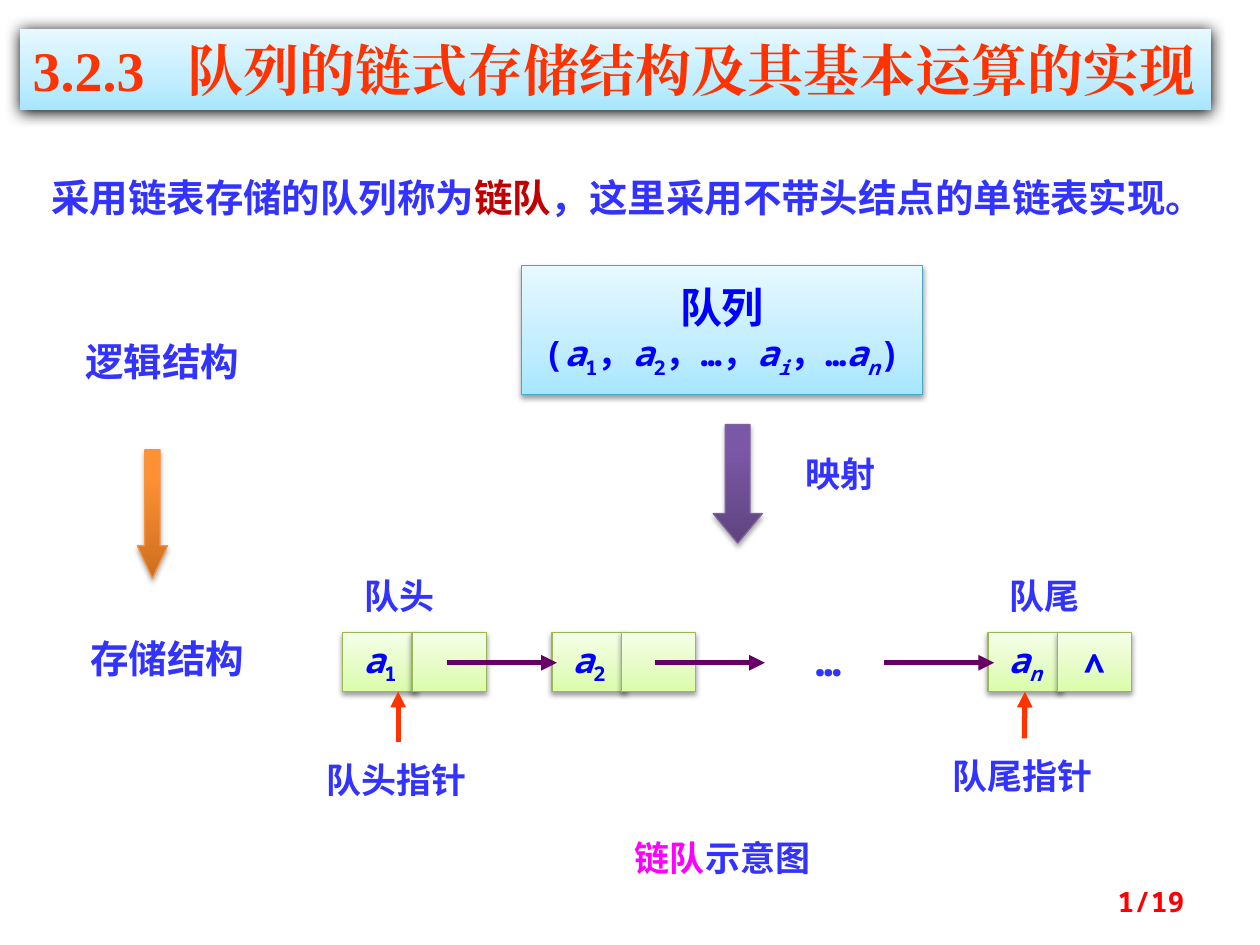
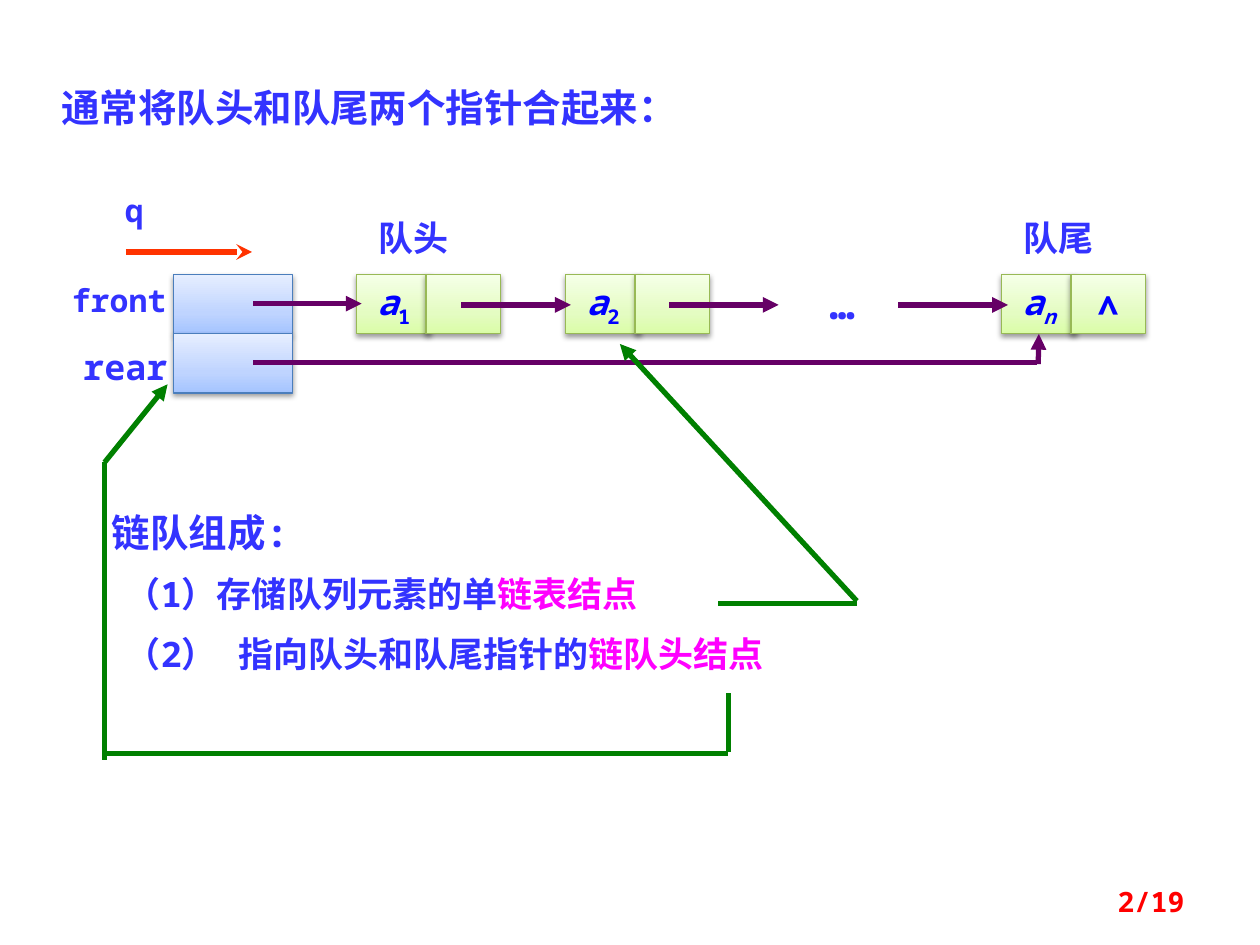
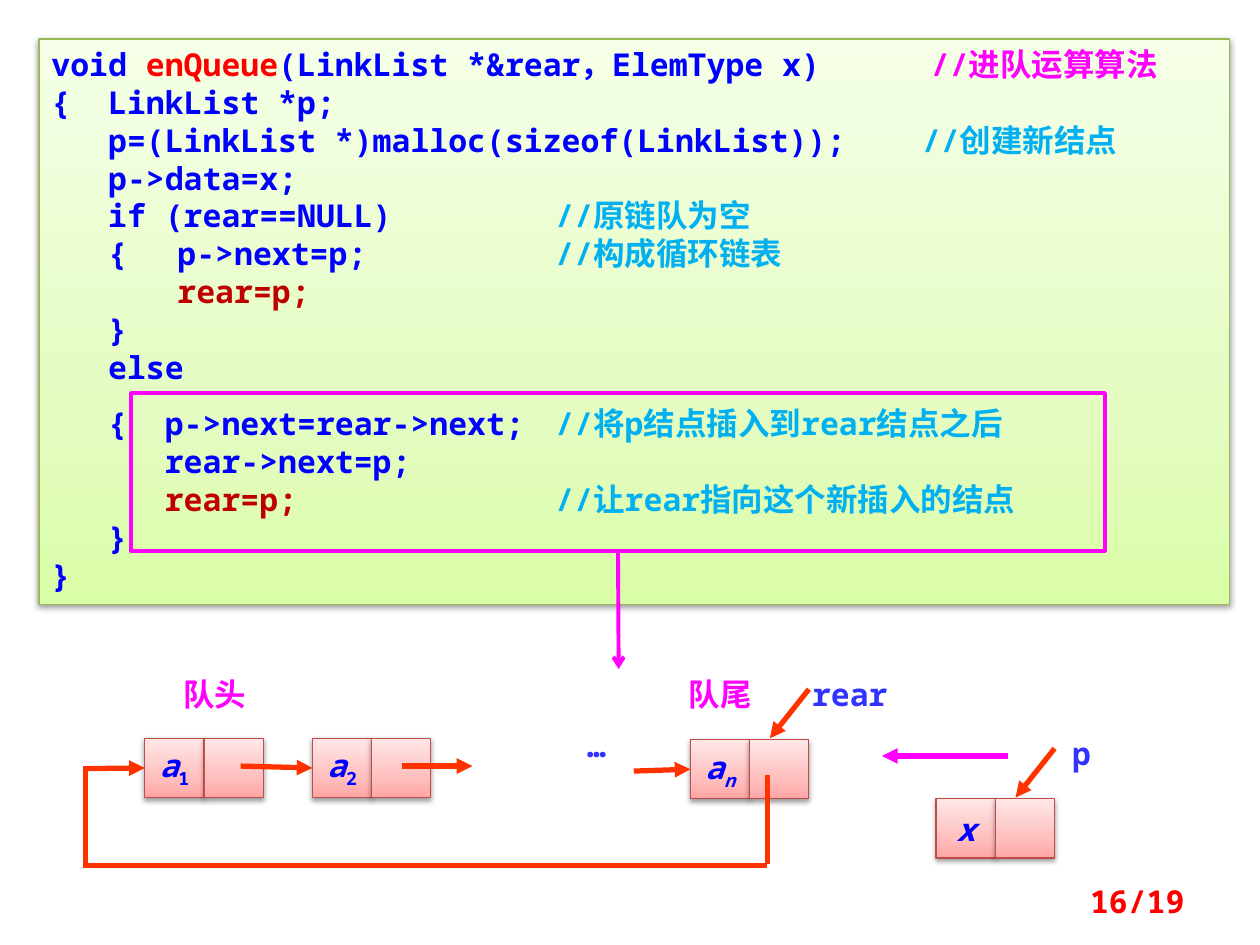
from math import cos, pi, sin

from lxml.etree import SubElement
from pptx import Presentation
from pptx.dml.color import RGBColor
from pptx.enum.shapes import MSO_CONNECTOR, MSO_SHAPE
from pptx.enum.text import MSO_ANCHOR, MSO_AUTO_SIZE, PP_ALIGN
from pptx.oxml.ns import qn
from pptx.util import Inches, Pt

# Shared colours and fonts
BLUE = RGBColor(0x33, 0x33, 0xFF)
CODE_BLUE = RGBColor(0x00, 0x00, 0xFF)
RED = RGBColor(0xFF, 0x00, 0x00)
DARK_RED = RGBColor(0xC0, 0x00, 0x00)
ORANGE = RGBColor(0xFF, 0x33, 0x00)
MAGENTA = RGBColor(0xFF, 0x00, 0xFF)
PURPLE = RGBColor(0x66, 0x00, 0x66)
GREEN = RGBColor(0x00, 0x80, 0x00)
SKY = RGBColor(0x00, 0xB0, 0xF0)
MONO, SERIF = "Noto Sans Mono", "Times New Roman"
LEFT, CENTER, RIGHT = PP_ALIGN.LEFT, PP_ALIGN.CENTER, PP_ALIGN.RIGHT

# Shape looks: gradient stops from bottom to top, outline colour
CYAN_LOOK = ([(0, "A7E6FF"), (35, "C1EDFF"), (100, "E7F8FF")], RGBColor(0x46, 0xAA, 0xC5))
TITLE_LOOK = (CYAN_LOOK[0], None)
LIME_LOOK = ([(0, "DAFDA7"), (35, "E4FCC2"), (100, "F5FFE7")], RGBColor(0x98, 0xB9, 0x55))
BLUE_LOOK = ([(0, "A4C4FF"), (35, "BFD4FF"), (100, "E6EEFF")], RGBColor(0x4B, 0x7E, 0xBC))
PINK_LOOK = ([(0, "FFA6A5"), (35, "FFC0BF"), (100, "FFE7E7")], RGBColor(0xBF, 0x4C, 0x48))
VIOLET_LOOK = ([(0, "5F4480"), (80, "7B58A6"), (100, "7C57A8")], RGBColor(0x7D, 0x60, 0xA0))
AMBER_LOOK = ([(0, "CC6E20"), (80, "FF9034"), (100, "FF9136")], RGBColor(0xF6, 0x92, 0x40))

# Run formats
ITALIC = {"italic": True}
SUB = {"sub": True}
SUB_ITALIC = {"sub": True, "italic": True}
A1 = [("a", ITALIC), ("1", SUB)]
A2 = [("a", ITALIC), ("2", SUB)]
AI = [("a", ITALIC), ("i", SUB_ITALIC)]
AN = [("a", ITALIC), ("n", SUB_ITALIC)]


def paint(color):
    return {"color": color}


# Text
def add_runs(p, runs, size, color, font=MONO):
    if isinstance(runs, str):
        runs = [(runs, {})]
    for text, own in runs:
        fmt = {"name": font, "size": Pt(size), "bold": True, **own}
        sub = fmt.pop("sub", False)
        run_color = fmt.pop("color", color)
        r = p.add_run()
        r.text = text
        for key, value in fmt.items():
            setattr(r.font, key, value)
        r.font.color.rgb = run_color
        rPr = r.font._element
        SubElement(rPr, qn("a:ea")).set("typeface", font)
        if sub:
            rPr.set("baseline", "-25000")


def set_tabs(p, stops):
    tabs = SubElement(p._p.get_or_add_pPr(), qn("a:tabLst"))
    for stop in stops:
        tab = SubElement(tabs, qn("a:tab"))
        tab.set("pos", str(Inches(stop)))
        tab.set("algn", "l")


def add_text(s, x, y, w, h, runs, size=20, color=BLUE, align=CENTER):
    sp = s.shapes.add_textbox(Inches(x), Inches(y), Inches(w), Inches(h))
    tf = sp.text_frame
    tf.word_wrap = True
    tf.auto_size = MSO_AUTO_SIZE.SHAPE_TO_FIT_TEXT
    p = tf.paragraphs[0]
    p.alignment = align
    add_runs(p, runs, size, color)
    return tf


def add_page_number(s, text, size=16):
    tf = add_text(s, 7.17, 6.95, 2.33, 0.4, text, size, RED, RIGHT)
    tf.auto_size = MSO_AUTO_SIZE.NONE
    tf.vertical_anchor = MSO_ANCHOR.MIDDLE


# Shapes
def add_block(s, x, y, w, h, look, kind=MSO_SHAPE.RECTANGLE, shadow=(38, 3.1, 1.6)):
    stops, outline = look
    sp = s.shapes.add_shape(kind, Inches(x), Inches(y), Inches(w), Inches(h))
    sp.fill.background()
    spPr = sp._element.spPr
    no_fill = spPr.find(qn("a:noFill"))
    grad = SubElement(spPr, qn("a:gradFill"))
    spPr.replace(no_fill, grad)
    gs_list = SubElement(grad, qn("a:gsLst"))
    for pos, value in stops:
        gs = SubElement(gs_list, qn("a:gs"))
        gs.set("pos", str(pos * 1000))
        SubElement(gs, qn("a:srgbClr")).set("val", value)
    SubElement(grad, qn("a:lin")).set("ang", "16200000")
    if outline is None:
        sp.line.fill.background()
    else:
        sp.line.color.rgb = outline
        sp.line.width = Pt(0.75)
    # Soft shadow straight below
    sp.shadow.inherit = False
    alpha, blur, dist = shadow
    outer = SubElement(spPr.find(qn("a:effectLst")), qn("a:outerShdw"))
    for key, value in {"blurRad": Pt(blur), "dist": Pt(dist), "dir": 5400000, "rotWithShape": 0}.items():
        outer.set(key, str(value))
    clr = SubElement(outer, qn("a:srgbClr"))
    clr.set("val", "000000")
    SubElement(clr, qn("a:alpha")).set("val", str(alpha * 1000))
    return sp


def add_cell(s, x, y, w, h, look, lines=(), sizes=(20,)):
    sp = add_block(s, x, y, w, h, look)
    tf = sp.text_frame
    tf.word_wrap = False
    tf.vertical_anchor = MSO_ANCHOR.MIDDLE
    for i, (runs, size) in enumerate(zip(lines, sizes)):
        p = tf.add_paragraph() if i else tf.paragraphs[0]
        p.alignment = CENTER
        add_runs(p, runs, size, CODE_BLUE)
    return sp


def add_down_arrow(s, x, y, w, h, look, head):
    sp = add_block(s, x, y, w, h, look, MSO_SHAPE.DOWN_ARROW, (35, 3.1, 1.8))
    sp.adjustments[0] = 0.5
    sp.adjustments[1] = head


def add_title(s, number, text):
    sp = add_block(s, 0.16, 0.23, 9.45, 0.64, TITLE_LOOK, shadow=(100, 8.5, 1))
    tf = sp.text_frame
    tf.word_wrap = True
    tf.margin_right = 0
    tf.vertical_anchor = MSO_ANCHOR.TOP
    p = tf.paragraphs[0]
    p.alignment = LEFT
    set_tabs(p, [1.23])
    add_runs(p, number + "\t" + text, 32, ORANGE, SERIF)


# Lines
def style_line(line, color, width, head):
    line.color.rgb = color
    line.width = Pt(width)
    if head:
        SubElement(line._get_or_add_ln(), qn("a:tailEnd")).set("type", head)


def add_line(s, x1, y1, x2, y2, color, head=None, width=3, begin=None, end=None):
    cx = s.shapes.add_connector(MSO_CONNECTOR.STRAIGHT, *map(Inches, (x1, y1, x2, y2)))
    style_line(cx.line, color, width, head)
    SubElement(cx._element.spPr, qn("a:effectLst"))
    if begin:
        cx.begin_connect(*begin)
    if end:
        cx.end_connect(*end)


def add_arrow(s, x1, y1, x2, y2, color, **kw):
    add_line(s, x1, y1, x2, y2, color, "triangle", **kw)


def add_curve(s, points, color, head):
    builder = s.shapes.build_freeform(*points[0], scale=Inches(1))
    builder.add_line_segments(points[1:], close=False)
    sp = builder.convert_to_shape()
    sp.fill.background()
    sp.shadow.inherit = False
    style_line(sp.line, color, 3, head)


# Linked list parts
def add_node(s, x, y, data, link=(), w=0.59, step=0.55, look=LIME_LOOK, size=20):
    """Draw a data cell and a link cell; return the data cell."""
    cell = add_cell(s, x, y, w, 0.47, look, [data], [size])
    add_cell(s, x + step, y, w, 0.47, look, link, [size])
    return cell


def add_queue(s, x, y):
    """Draw the chain a1, a2 ... an with its labels; return the last data cell."""
    second, last = x + 1.66, x + 5.12
    add_node(s, x, y, A1)
    add_node(s, second, y, A2)
    tail = add_node(s, last, y, AN, ["∧"])
    for start in (x + 0.83, second + 0.82, last - 0.82):
        add_arrow(s, start, y + 0.24, start + 0.87, y + 0.24, PURPLE)
    add_text(s, x + 3.38, y - 0.03, 0.95, 0.5, "…", 24)
    for label, left in (("队头", x), ("队尾", last)):
        add_text(s, left - 0.1, y - 0.51, 1.1, 0.44, label)
    return tail


def build_storage(s):
    add_title(s, "3.2.3", "队列的链式存储结构及其基本运算的实现")
    add_text(s, 0.31, 1.33, 9.3, 0.47, [
        ("采用链表存储的队列称为", {}), ("链队", paint(DARK_RED)),
        ("，这里采用不带头结点的单链表实现。", {})], 22, align=LEFT)
    # Logical structure mapped to storage structure
    sequence = [("(", {}), *A1, ("，", {}), *A2, ("，…，", {}), *AI, ("，…", {}), *AN, (")", {})]
    add_cell(s, 4.14, 2.11, 3.18, 1.02, CYAN_LOOK, ["队列", sequence], (24, 20))
    add_down_arrow(s, 5.66, 3.37, 0.39, 0.94, VIOLET_LOOK, 0.6)
    add_text(s, 6.21, 3.54, 0.93, 0.43, "映射")
    add_text(s, 0.58, 2.63, 1.84, 0.47, "逻辑结构", 22, align=LEFT)
    add_down_arrow(s, 1.09, 3.57, 0.24, 1.02, AMBER_LOOK, 1.08)
    add_text(s, 0.62, 4.99, 1.84, 0.47, "存储结构", 22, align=LEFT)
    # Chain with head and tail pointers
    tail = add_queue(s, 2.72, 5.02)
    add_arrow(s, 3.16, 5.89, 3.16, 5.49, ORANGE)
    add_arrow(s, 8.13, 5.86, 8.13, 5.49, ORANGE, end=(tail, 2))
    add_text(s, 2.28, 5.97, 1.73, 0.44, "队头指针")
    add_text(s, 7.25, 5.94, 1.73, 0.44, "队尾指针")
    add_text(s, 4.64, 6.59, 2.19, 0.44, [("链队", paint(MAGENTA)), ("示意图", {})])
    add_page_number(s, "1/19")


def build_header_node(s):
    add_text(s, 0.39, 0.62, 5.78, 0.47, "通常将队头和队尾两个指针合起来：", 22, align=LEFT)
    # Header node with front and rear
    for y in (2.18, 2.65):
        add_cell(s, 1.38, y, 0.94, 0.47, BLUE_LOOK)
    tail = add_queue(s, 2.83, 2.18)
    add_arrow(s, 2.01, 2.41, 2.87, 2.41, PURPLE)
    add_line(s, 2.01, 2.88, 8.23, 2.88, PURPLE)
    add_arrow(s, 8.24, 2.89, 8.24, 2.65, PURPLE, end=(tail, 2))
    quarter = [(1.3 + 0.39 * sin(i * pi / 24), 2.17 - 0.39 * cos(i * pi / 24)) for i in range(13)]
    add_curve(s, quarter, ORANGE, "stealth")
    add_text(s, 0.83, 1.47, 0.47, 0.4, "q", 18)
    add_text(s, 0.42, 2.18, 1.05, 0.4, "front", 18)
    add_text(s, 0.56, 2.69, 0.87, 0.43, "rear")
    # The two parts of a linked queue
    tf = add_text(s, 0.59, 3.99, 8.75, 1.48, "链队组成:", 22, align=LEFT)
    tf.paragraphs[0]._p.get_or_add_pPr().set("marL", str(Inches(0.2)))
    for lead, part in (("（1）存储队列元素的单", "链表结点"),
                       ("（2） 指向队头和队尾指针的", "链队头结点")):
        p = tf.add_paragraph()
        p.space_before = Pt(10)
        p._p.get_or_add_pPr().set("marL", str(Inches(0.31)))
        add_runs(p, [(lead, {}), (part, paint(MAGENTA))], 20, BLUE)
    # Lines from each part to the drawing
    add_line(s, 5.7, 4.79, 6.8, 4.79, GREEN)
    add_arrow(s, 6.8, 4.77, 4.92, 2.73, GREEN)
    add_line(s, 5.78, 5.5, 5.78, 5.97, GREEN)
    add_line(s, 0.83, 5.98, 5.78, 5.98, GREEN)
    add_line(s, 0.83, 3.67, 0.83, 6.03, GREEN)
    add_arrow(s, 0.83, 3.67, 1.33, 3.05, GREEN)
    add_page_number(s, "2/19")


# Code lines: (tab position, text, colour); position 0 needs no tab, None continues
NOTE = 4
CODE = [
    [(0, "void ", CODE_BLUE), (None, "enQueue", RED),
     (None, "(LinkList *&rear，ElemType x)", CODE_BLUE), (6.98, "//进队运算算法", MAGENTA)],
    [(0, "{", CODE_BLUE), (0.45, "LinkList *p;", CODE_BLUE)],
    [(0.45, "p=(LinkList *)malloc(sizeof(LinkList));", CODE_BLUE), (6.91, "//创建新结点", SKY)],
    [(0.45, "p->data=x;", CODE_BLUE)],
    [(0.45, "if (rear==NULL)", CODE_BLUE), (NOTE, "//原链队为空", SKY)],
    [(0.45, "{", CODE_BLUE), (1, "p->next=p;", CODE_BLUE), (NOTE, "//构成循环链表", SKY)],
    [(1, "rear=p;", DARK_RED)],
    [(0.45, "}", CODE_BLUE)],
    [(0.45, "else", CODE_BLUE)],
    [(0.45, "{", CODE_BLUE), (0.9, "p->next=rear->next;", CODE_BLUE),
     (NOTE, "//将p结点插入到rear结点之后", SKY)],
    [(0.9, "rear->next=p;", CODE_BLUE)],
    [(0.9, "rear=p;", DARK_RED), (NOTE, "//让rear指向这个新插入的结点", SKY)],
    [(0.45, "}", CODE_BLUE)],
    [(0, "}", CODE_BLUE)],
]
WIDE_LINE = 9


def add_code(s):
    tf = add_block(s, 0.31, 0.31, 9.45, 4.49, LIME_LOOK).text_frame
    tf.word_wrap = True
    tf.vertical_anchor = MSO_ANCHOR.TOP
    for i, parts in enumerate(CODE):
        p = tf.add_paragraph() if i else tf.paragraphs[0]
        p.alignment = LEFT
        if i == WIDE_LINE:
            p.line_spacing = 1.5
        stops = [pos for pos, _, _ in parts if pos]
        if stops:
            set_tabs(p, stops)
        runs = [("\t" + text if pos else text, paint(color)) for pos, text, color in parts]
        add_runs(p, runs, 18, CODE_BLUE)


def build_enqueue(s):
    add_code(s)
    # Frame around the insertion steps
    frame = s.shapes.add_shape(MSO_SHAPE.RECTANGLE, *map(Inches, (1.04, 3.12, 7.73, 1.25)))
    frame.fill.background()
    frame.shadow.inherit = False
    style_line(frame.line, MAGENTA, 2.25, None)
    add_line(s, 4.91, 4.37, 4.91, 5.31, MAGENTA, "arrow", 2.25, begin=(frame, 2))
    # Circular list and the new node
    first, second, last, _ = [
        add_node(s, x, y, data, w=0.47, step=0.47, look=PINK_LOOK, size=18)
        for x, y, data in ((1.15, 5.86, A1), (2.48, 5.86, A2), (5.48, 5.87, AN),
                           (7.43, 6.34, [("x", ITALIC)]))]
    add_arrow(s, 1.91, 6.08, 2.48, 6.08, ORANGE, end=(second, 1))
    add_arrow(s, 3.19, 6.08, 3.75, 6.08, ORANGE)
    add_arrow(s, 5.03, 6.12, 5.48, 6.11, ORANGE, end=(last, 1))
    # Way back from the last node to the first
    add_line(s, 6.09, 6.15, 6.09, 6.86, ORANGE)
    add_line(s, 0.66, 6.87, 6.09, 6.87, ORANGE)
    add_line(s, 0.68, 6.08, 0.68, 6.88, ORANGE)
    add_arrow(s, 0.68, 6.1, 1.15, 6.1, ORANGE, end=(first, 1))
    # Pointers and labels
    add_arrow(s, 6.42, 5.47, 6.11, 5.86, ORANGE)
    add_arrow(s, 8.37, 5.94, 8.06, 6.33, ORANGE)
    add_curve(s, [(7.66, 6.18), (7.61, 6.07), (7.54, 5.95), (7.44, 5.83), (7.33, 5.75),
                  (7.2, 5.71), (7.04, 5.71), (6.83, 5.79), (6.64, 6)], MAGENTA, "triangle")
    for x, y, w, label, color in (
            (1.23, 5.31, 0.95, "队头", MAGENTA), (5.24, 5.31, 0.95, "队尾", MAGENTA),
            (6.31, 5.31, 0.87, "rear", BLUE), (4.3, 5.71, 0.87, "…", BLUE),
            (8.35, 5.78, 0.47, "p", BLUE)):
        add_text(s, x, y, w, 0.4, label, 18, color)
    add_page_number(s, "16/19", 18)


def main():
    prs = Presentation()
    prs.slide_width, prs.slide_height = Inches(10), Inches(7.5)
    for build in (build_storage, build_header_node, build_enqueue):
        build(prs.slides.add_slide(prs.slide_layouts[6]))
    prs.save("out.pptx")


if __name__ == "__main__":
    main()
